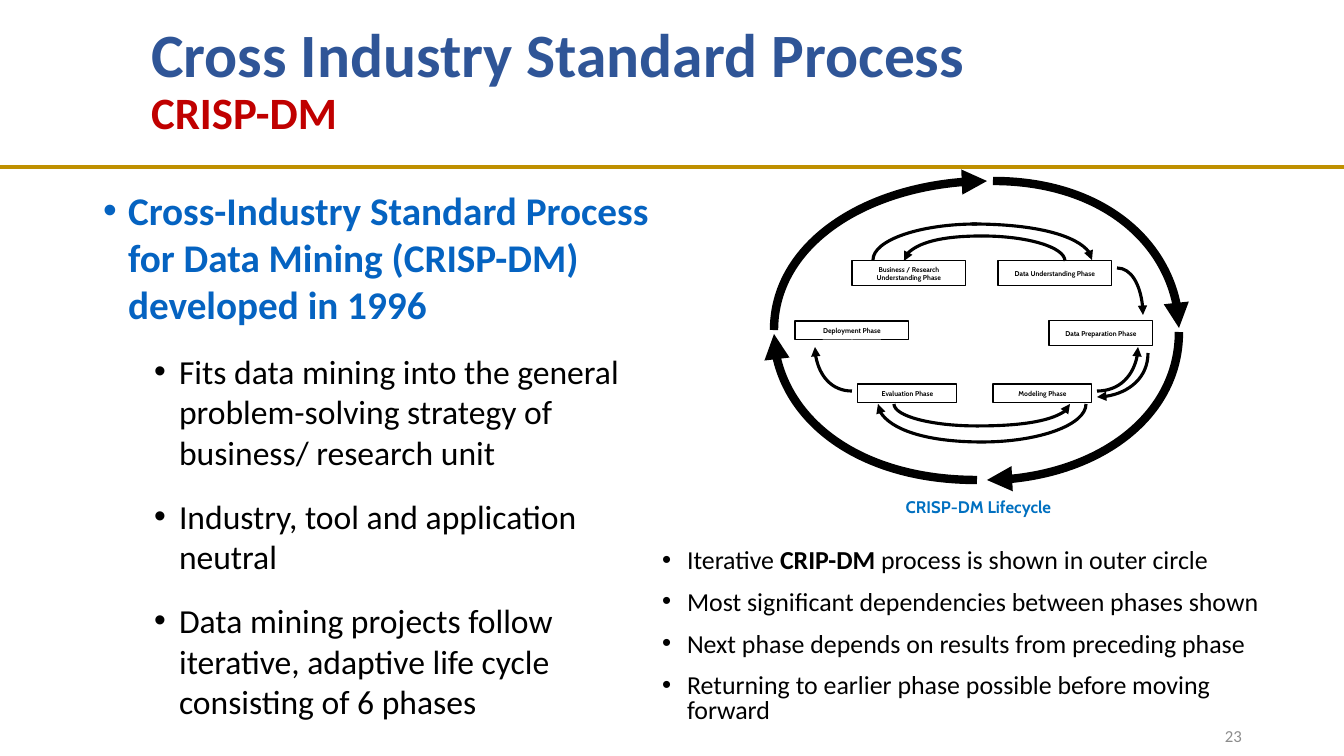
import lxml.etree
import pptx
import pptx.dml.color
import pptx.enum.shapes
import pptx.enum.text
import pptx.oxml.ns
import pptx.util

SCALE = 914400 / 100.8
BEND = 0.55
ALIGN = pptx.enum.text.PP_ALIGN
ANCHOR = pptx.enum.text.MSO_ANCHOR
qn = pptx.oxml.ns.qn

PHASES = [
    ("Business / Research Understanding Phase", 78, 80, 114, 25),
    ("Data Understanding Phase", 224, 80, 114, 25),
    ("Data Preparation Phase", 275, 140, 104, 25),
    ("Modeling Phase", 219, 203, 99, 19),
    ("Evaluation Phase", 84, 203, 99, 19),
    ("Deployment Phase", 21, 140, 114, 19),
]
# OUTER
OUTER = [
    ((213, 0), (0, 149), "head"),
    ((219, 0), (405, 147), "tail"),
    ((213, 299), (405, 151), "head"),
    ((203, 299), (0, 153), "tail"),
]
INNER = [
    ((343, 87), (369, 134), "tail"),
    ((198, 43), (318, 79), "tail"),
    ((203, 43), (99, 79), None),
    ((208, 55), (130, 80), "tail"),
    ((208, 55), (291, 80), None),
    ((323, 216), (374, 172), "head"),
    ((323, 210), (364, 166), "tail"),
    ((208, 261), (312, 223), None),
    ((208, 261), (104, 223), "tail"),
    ((203, 245), (296, 223), "tail"),
    ((203, 245), (120, 223), None),
    ((78, 210), (41, 166), "tail"),
]


def px(n):
    return pptx.util.Emu(round(n * SCALE))


def color(code):
    return pptx.dml.color.RGBColor.from_string(code)


def place(shape, box):
    shape.left, shape.top, shape.width, shape.height = map(px, box)


def frame(shape, inset=None, anchor=ANCHOR.TOP):
    text = shape.text_frame
    text.word_wrap = True
    text.auto_size = pptx.enum.text.MSO_AUTO_SIZE.NONE
    text.vertical_anchor = anchor
    if inset is not None:
        text.margin_left = text.margin_right = px(inset)
    return text


def write(para, words, size, code, bold=False, font="Calibri"):
    run = para.add_run()
    run.text = words
    run.font.size = pptx.util.Pt(size)
    run.font.name = font
    run.font.bold = bold
    run.font.color.rgb = color(code)


def bullet(para, left, before, after, lines=1.0):
    para.alignment = ALIGN.LEFT
    para.line_spacing = lines
    para.space_before = pptx.util.Pt(before)
    para.space_after = pptx.util.Pt(after)
    props = para._p.get_or_add_pPr()
    props.set("marL", str(px(left)))
    props.set("indent", str(px(-25)))
    font = lxml.etree.SubElement(props, qn("a:buFont"))
    font.set("typeface", "Arial")
    lxml.etree.SubElement(props, qn("a:buChar")).set("char", "•")


def items(text, count):
    return [text.paragraphs[0]] + [text.add_paragraph() for _ in range(count - 1)]


def label(slide, box, words, size, code, align, **style):
    text = frame(slide.shapes.add_textbox(*map(px, box)), anchor=ANCHOR.MIDDLE)
    para = text.paragraphs[0]
    para.alignment = align
    write(para, words, size, code, **style)


def rule(slide, box):
    x, y, w, h = box
    line = slide.shapes.add_connector(
        pptx.enum.shapes.MSO_CONNECTOR.STRAIGHT, px(x), px(y), px(x + w), px(y + h))
    line.line.color.rgb = color("BF9000")
    line.line.width = pptx.util.Pt(3.25)
    lxml.etree.SubElement(line._element.spPr, qn("a:effectLst"))


def title(slide, box):
    shape = slide.shapes.title
    place(shape, box)
    para = frame(shape, anchor=ANCHOR.MIDDLE).paragraphs[0]
    para.alignment = ALIGN.LEFT
    para.line_spacing = 0.9
    write(para, "Cross Industry Standard Process", 44, "2F5597", True)
    para.add_line_break()
    write(para, "CRISP-DM", 32, "C00000", True)


def body(slide, box):
    shape = slide.placeholders[1]
    place(shape, box)
    points = [
        "Fits data mining into the general problem-solving strategy of business/ research unit",
        "Industry, tool and application neutral",
        "Data mining projects follow iterative, adaptive life cycle consisting of 6 phases",
    ]
    first, *rest = items(frame(shape), len(points) + 1)
    bullet(first, 25, 10, 12)
    write(first, "Cross-Industry Standard Process for Data Mining (CRISP-DM) developed in 1996",
          28, "0563C1", True)
    for para, words in zip(rest, points):
        para.level = 1
        bullet(para, 76, 5, 12)
        write(para, words, 24, "000000")


def phase(group, box, words):
    shape = group.shapes.add_shape(pptx.enum.shapes.MSO_SHAPE.RECTANGLE, *map(px, box))
    shape.shadow.inherit = False
    shape.fill.background()
    shape.line.color.rgb = color("000000")
    shape.line.width = pptx.util.Pt(0.75)
    text = frame(shape, 5, ANCHOR.MIDDLE)
    text.margin_top = text.margin_bottom = 0
    para = text.paragraphs[0]
    para.alignment = ALIGN.CENTER
    write(para, words, 5, "000000", True, "Cabin")


def arc(group, apex, side, end, width):
    (ax, ay), (sx, sy) = apex, side
    curve = [(ax + BEND * (sx - ax), ay), (sx, sy - BEND * (sy - ay)), side]
    pen = group.shapes.build_freeform(px(ax), px(ay))
    pen.add_line_segments([(px(x), px(y)) for x, y in curve], close=False)
    shape = pen.convert_to_shape()
    geom = next(shape._element.iter(qn("a:path")))
    cubic = lxml.etree.SubElement(geom, qn("a:cubicBezTo"))
    for step in geom.findall(qn("a:lnTo")):
        cubic.append(step[0])
        geom.remove(step)
    shape.shadow.inherit = False
    shape.fill.background()
    shape.line.color.rgb = color("000000")
    shape.line.width = pptx.util.Pt(width)
    if end:
        line = shape._element.spPr.find(qn("a:ln"))
        lxml.etree.SubElement(line, qn(f"a:{end}End")).set("type", "triangle")


def cycle(slide, box):
    left, top, width, height = box
    group = slide.shapes.add_group_shape()
    for words, x, y, w, h in PHASES:
        phase(group, (left + x, top + y, w, h), words)
    for arcs, weight in ((INNER, 2.25), (OUTER, 6)):
        for (ax, ay), (sx, sy), end in arcs:
            arc(group, (left + ax, top + ay), (left + sx, top + sy), end, weight)
    label(slide, (left + 79, top + height + 12, 251, 30), "CRISP-DM Lifecycle",
          12, "0070C0", ALIGN.CENTER, bold=True, font="Cabin")


def notes(slide, box):
    points = [
        [("Iterative ", False), ("CRIP-DM", True),
         (" process is shown in outer circle", False)],
        [("Most significant dependencies between phases shown", False)],
        [("Next phase depends on results from preceding phase", False)],
        [("Returning to earlier phase possible before moving forward", False)],
    ]
    text = frame(slide.shapes.add_textbox(*map(px, box)), 0)
    for para, runs in zip(items(text, len(points)), points):
        para.level = 1
        bullet(para, 39, 12, 0, 0.8)
        for words, bold in runs:
            write(para, words, 18.5, "000000", bold)


def main():
    deck = pptx.Presentation()
    deck.slide_width, deck.slide_height = px(1344), px(756)
    slide = deck.slides.add_slide(deck.slide_layouts[1])
    rule(slide, (0, 167, 1344, 0))
    title(slide, (141, 0, 1091, 163))
    body(slide, (93, 181, 592, 575))
    cycle(slide, (774, 181, 405, 299))
    notes(slide, (648, 545, 645, 202))
    label(slide, (950, 716, 302, 40), "23", 12, "8C8C8C", ALIGN.RIGHT)
    deck.save("out.pptx")


if __name__ == "__main__":
    main()
